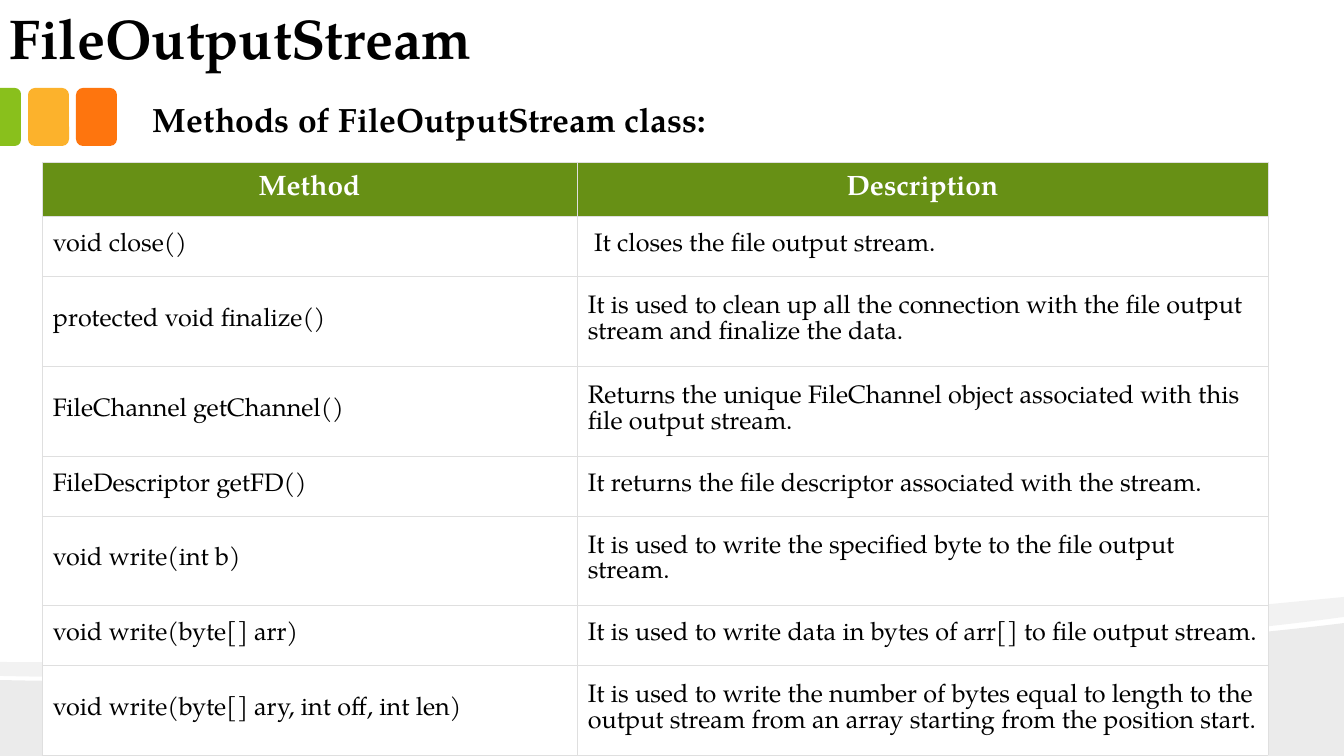
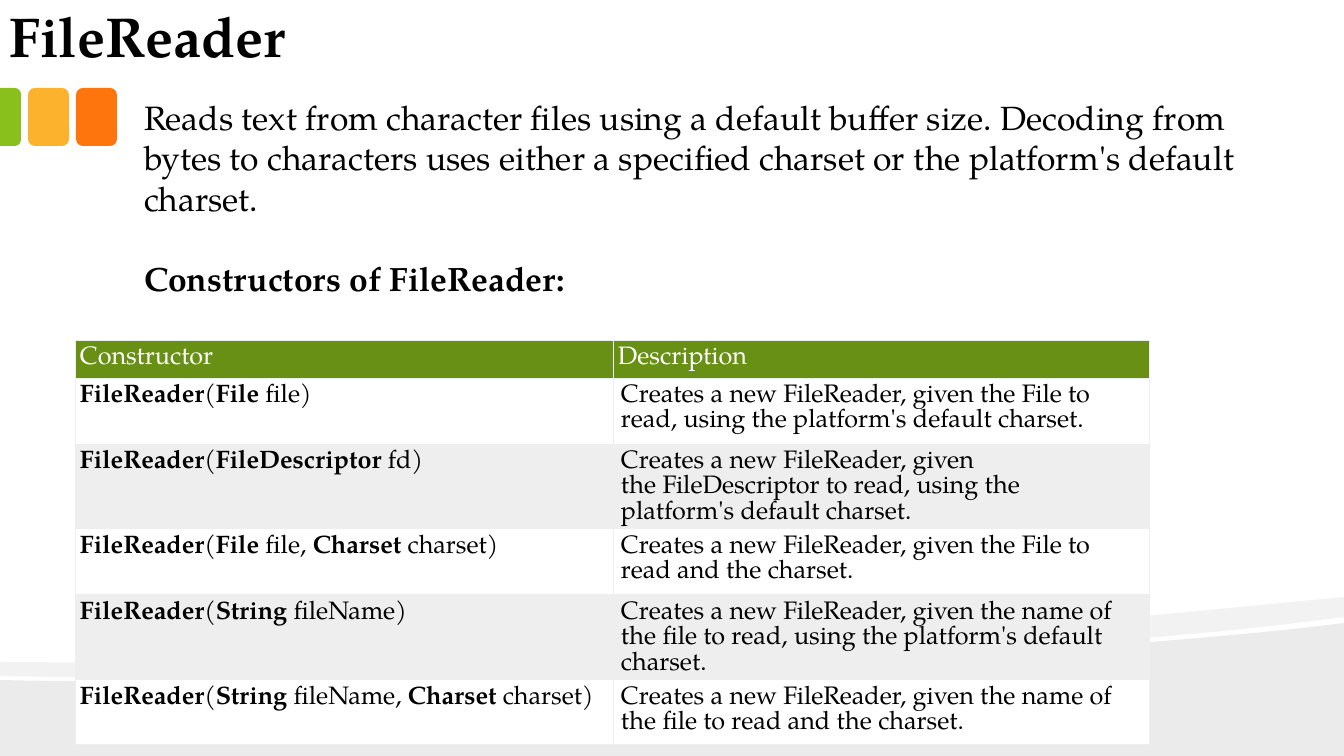
from dataclasses import dataclass

from lxml.etree import SubElement
from pptx import Presentation
from pptx.dml.color import RGBColor
from pptx.enum.shapes import MSO_SHAPE
from pptx.enum.text import MSO_ANCHOR, MSO_AUTO_SIZE, PP_ALIGN
from pptx.oxml.ns import qn
from pptx.util import Pt

SCALE = 12192000 / 1344
WIDTH, HEIGHT = 1344, 756
NBSP = chr(160)


@dataclass(frozen=True)
class Theme:
    """Colours, font and type sizes of the deck."""
    font: str = "TeX Gyre Pagella"
    ink: str = "000000"
    paper: str = "FFFFFF"
    header: str = "679015"
    band: str = "EEEEEF"
    orange: str = "FE750E"
    yellow: str = "FCB22C"
    green: str = "89C01C"
    title: int = 40
    body: int = 24
    head: int = 20
    cell: int = 18
    body_leading: float = 28.8
    cell_leading: float = 18.2


@dataclass(frozen=True)
class TableStyle:
    """Look of one table; insets are left, top, right, bottom in px."""
    border: str
    border_pt: float
    head_size: int
    head_bold: bool
    head_align: PP_ALIGN
    anchor: MSO_ANCHOR
    head_insets: tuple
    insets: tuple
    band: str


T = Theme()
METHOD_STYLE = TableStyle("DFDFDF", 0.23, T.head, True, PP_ALIGN.CENTER, MSO_ANCHOR.MIDDLE,
                          ((4, 10, 4, 10), (10, 10, 10, 10)),
                          ((11, 15, 10, 15), (11, 15, 10, 15)), T.paper)
CONSTRUCTOR_STYLE = TableStyle("EEEEEE", 0.75, T.cell, False, PP_ALIGN.LEFT, MSO_ANCHOR.TOP,
                               ((5, 6, 2, 2), (5, 6, 2, 2)),
                               ((5, 6, 2, 2), (8, 6, 7, 2)), T.band)

METHODS = [
    ("Method", "Description"),
    ("void close()", "~It closes the file output stream."),
    ("protected void finalize()",
     "It is used to clean up all the connection with the file output stream and finalize the data."),
    ("FileChannel getChannel()~",
     "Returns the unique FileChannel object associated with this file output stream."),
    ("FileDescriptor getFD()~", "It returns the file descriptor associated with the stream."),
    ("void write(int b)", "It is used to write the specified byte to the file output stream."),
    ("void write(byte[] arr)",
     "It is used to write data in bytes of arr[] to file output stream."),
    ("void write(byte[] ary, int off, int len)",
     "It is used to write the number of bytes equal to length to the output stream "
     "from an array starting from the position start."),
]
CONSTRUCTORS = [
    ("Constructor", "Description"),
    ("**FileReader**(**File**~file)",
     "Creates a new~FileReader, given the~File~to read, using the platform's~default charset."),
    ("**FileReader**(**FileDescriptor~**fd)",
     "Creates a new~FileReader, given the~FileDescriptor~to read, "
     "using the platform's~default charset."),
    ("**FileReader**(**File~**file,~**Charset**~charset)",
     "Creates a new~FileReader, given the~File~to read and the~charset."),
    ("**FileReader**(**String~**fileName)",
     "Creates a new~FileReader, given the name of the file to read, "
     "using the platform's~default charset."),
    ("**FileReader**(**String~**fileName,~**Charset**~charset)",
     "Creates a new~FileReader, given the name of the file to read and the~charset."),
]


def px(*values):
    """Turn px lengths into a list of EMU."""
    return [round(v * SCALE) for v in values]


def rgb(color):
    """Turn a hex string into a colour."""
    return RGBColor.from_string(color)


def paint(sp, color, alpha=None):
    """Give a shape a flat fill without line or shadow."""
    sp.shadow.inherit = False
    sp.fill.solid()
    sp.fill.fore_color.rgb = rgb(color)
    sp.line.fill.background()
    if alpha:
        clr = sp.element.spPr.find(".//" + qn("a:srgbClr"))
        SubElement(clr, qn("a:alpha"), val=str(alpha * 1000))
    return sp


def style_paragraph(p, size, color, bold=False, leading=None, align=PP_ALIGN.LEFT):
    """Set the alignment, leading and font of a paragraph."""
    p.alignment = align
    if leading:
        p.line_spacing = Pt(leading)
    p.font.name, p.font.size, p.font.bold = T.font, Pt(size), bold
    p.font.color.rgb = rgb(color)


def set_insets(target, insets):
    """Set the four margins of a cell or text frame."""
    (target.margin_left, target.margin_top,
     target.margin_right, target.margin_bottom) = px(*insets)


def add_outline(s, points, curves, alpha):
    """Add a closed outline; curves list the indexes of first control points."""
    start, *rest = [px(*point) for point in points]
    builder = s.shapes.build_freeform(*start, scale=1.0)
    builder.add_line_segments(rest, close=True)
    sp = builder.convert_to_shape()
    segments = list(sp.element.iter(qn("a:lnTo")))
    for i in curves:
        first, *others = segments[i - 1:i + 2]
        first.tag = qn("a:cubicBezTo")
        for segment in others:
            first.append(segment[0])
            segment.getparent().remove(segment)
    return paint(sp, T.ink, alpha)


def add_waves(s):
    """Add the two grey waves along the foot of the slide."""
    hill = [(WIDTH, 623), (WIDTH, HEIGHT), (0, HEIGHT), (0, 680),
            (355, 688), (1050, 660), (WIDTH, 623)]
    ribbon = [(WIDTH, 597), (WIDTH, 617),
              (1265, 628), (1158, 638), (1037, 646),
              (704, 668), (260, 682), (0, 676),
              (0, 662), (657, 667), (979, 632), (WIDTH, 597)]
    return [add_outline(s, hill, (4,), 8), add_outline(s, ribbon, (2, 5, 9), 5)]


def add_tabs(s, x, y, w, h, gap):
    """Add the coloured tabs, the first one half cut by the slide edge."""
    half = w // 2 + 1
    left, top = x + (half - h) / 2, y + (h - half) / 2
    cut = s.shapes.add_shape(MSO_SHAPE.ROUND_2_SAME_RECTANGLE, *px(left, top, h, half))
    cut.rotation = 90
    cut.adjustments[0] = 0.29
    tabs = [paint(cut, T.green)]
    for i, color in enumerate((T.yellow, T.orange)):
        box = px(x + half + gap + i * (w + gap), y, w, h)
        tabs.append(paint(s.shapes.add_shape(MSO_SHAPE.ROUNDED_RECTANGLE, *box), color))
    return tabs


def decorate_layout(layout, s):
    """Draw the shared decoration and move it to the layout."""
    for sp in list(layout.placeholders)[1:]:
        layout.shapes.element.remove(sp.element)
    for sp in add_waves(s) + add_tabs(s, 0, 88, 41, 58, 7):
        layout.shapes.element.append(sp.element)


def set_title(s, text, box):
    """Place and format the title placeholder."""
    sp = s.shapes.title
    sp.left, sp.top, sp.width, sp.height = px(*box)
    tf = sp.text_frame
    tf.text = text
    tf.auto_size = MSO_AUTO_SIZE.NONE
    tf.vertical_anchor = MSO_ANCHOR.BOTTOM
    set_insets(tf, (13, 7, 13, 7))
    style_paragraph(tf.paragraphs[0], T.title, T.ink, True)


def add_body(s, box, paragraphs):
    """Add a text box of (text, bold) paragraphs a line apart."""
    tf = s.shapes.add_textbox(*px(*box)).text_frame
    tf.word_wrap = True
    set_insets(tf, (10, 5, 10, 5))
    for i, (text, bold) in enumerate(paragraphs):
        p = tf.add_paragraph() if i else tf.paragraphs[0]
        p.text = text
        style_paragraph(p, T.body, T.ink, bold, T.body_leading)
        if i:
            p.space_before = Pt(T.body_leading)


def set_borders(cell, color, width):
    """Draw the same line on all sides of a cell."""
    tcPr = cell._tc.get_or_add_tcPr()
    for side in ("L", "R", "T", "B"):
        ln = SubElement(tcPr, qn("a:ln" + side), w=str(Pt(width)))
        SubElement(SubElement(ln, qn("a:solidFill")), qn("a:srgbClr"), val=color)


def fill_cell(cell, text, style, row, col):
    """Write and format a cell; ** marks bold parts and ~ a hard space."""
    head = row == 0
    set_borders(cell, style.border, style.border_pt)
    cell.fill.solid()
    color = T.header if head else T.paper if row % 2 else style.band
    cell.fill.fore_color.rgb = rgb(color)
    cell.vertical_anchor = style.anchor
    set_insets(cell, (style.head_insets if head else style.insets)[col])
    p = cell.text_frame.paragraphs[0]
    if head:
        style_paragraph(p, style.head_size, T.paper, style.head_bold,
                        style.head_size, style.head_align)
    else:
        style_paragraph(p, T.cell, T.ink, False, T.cell_leading)
    for i, part in enumerate(text.replace("~", NBSP).split("**")):
        if part:
            r = p.add_run()
            r.text = part
            if i % 2:
                r.font.bold = True


def add_data_table(s, x, y, widths, heights, rows, style):
    """Add a table with its top left corner at x, y."""
    box = px(x, y, sum(widths), sum(heights))
    table = s.shapes.add_table(len(rows), len(widths), *box).table
    table.first_row = table.horz_banding = False
    for column, w in zip(table.columns, px(*widths)):
        column.width = w
    for row, h in zip(table.rows, px(*heights)):
        row.height = h
    for i, texts in enumerate(rows):
        for j, text in enumerate(texts):
            fill_cell(table.cell(i, j), text, style, i, j)


def build_methods(s):
    """Build the slide on the methods of the output stream."""
    set_title(s, "FileOutputStream", (-4, -33, 1045, 111))
    add_body(s, (143, 94, 1151, 50), [("Methods of FileOutputStream class:", True)])
    add_data_table(s, 42, 162, (535, 691), (54, 60, 90, 90, 60, 89, 60, 90),
                   METHODS, METHOD_STYLE)


def build_constructors(s):
    """Build the slide on the constructors of the reader."""
    set_title(s, "FileReader", (-4, -8, 1045, 84))
    add_data_table(s, 75, 340, (538, 537), (38, 66, 85, 66, 85, 65),
                   CONSTRUCTORS, CONSTRUCTOR_STYLE)
    add_body(s, (134, 92, 1134, 214), [
        ("Reads text from character files using a default buffer size. Decoding from bytes to "
         "characters uses either a specified charset or the platform's default charset.", False),
        ("Constructors of FileReader:", True)])


def main():
    """Build and save the deck."""
    prs = Presentation()
    prs.slide_width, prs.slide_height = px(WIDTH, HEIGHT)
    layout = prs.slide_layouts[5]
    slides = [prs.slides.add_slide(layout) for _ in range(2)]
    decorate_layout(layout, slides[0])
    build_methods(slides[0])
    build_constructors(slides[1])
    prs.save("out.pptx")


if __name__ == "__main__":
    main()
